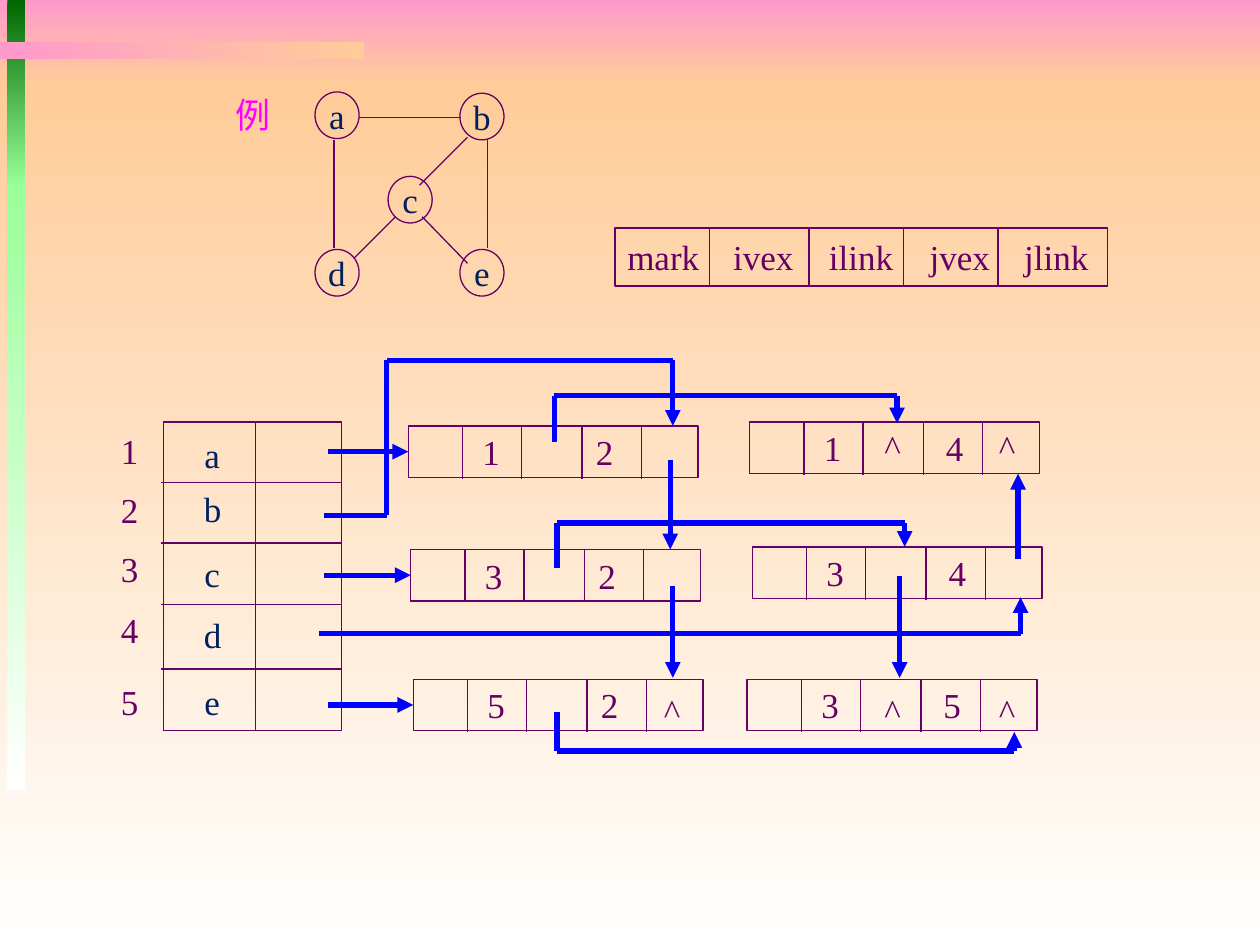
from dataclasses import dataclass
from itertools import pairwise

from lxml.etree import SubElement
from pptx import Presentation
from pptx.dml.color import RGBColor
from pptx.enum.shapes import MSO_CONNECTOR, MSO_SHAPE
from pptx.enum.text import MSO_ANCHOR, PP_ALIGN
from pptx.oxml.ns import qn
from pptx.util import Inches, Pt


@dataclass(frozen=True)
class Theme:
    """Colours, font and sizes of the slide."""
    font: str = "Times New Roman"
    size: int = 20
    thin: float = 0.75
    thick: float = 3
    plum: str = "660066"
    navy: str = "002060"
    blue: str = "0000FF"
    magenta: str = "FF00FF"
    pink: str = "FF99CC"
    peach: str = "FFCC99"
    dark_green: str = "006600"
    light_green: str = "99FF99"
    white: str = "FFFFFF"


THEME = Theme()


def rgb(value):
    """Turn a hex string into a colour."""
    return RGBColor.from_string(value)


def write(shape, text, color, align=PP_ALIGN.CENTER, anchor=MSO_ANCHOR.MIDDLE, tabs=()):
    """Write one line in a shape, with tab stops in inches if given."""
    frame = shape.text_frame
    frame.word_wrap = bool(tabs)
    frame.vertical_anchor = anchor
    para = frame.paragraphs[0]
    para.alignment = align
    if tabs:
        tab_list = SubElement(para._p.get_or_add_pPr(), qn("a:tabLst"))
        for stop in tabs:
            SubElement(tab_list, qn("a:tab"), pos=str(Inches(stop)), algn="l")
    span = para.add_run()
    span.text = text
    span.font.name = THEME.font
    span.font.size = Pt(THEME.size)
    span.font.color.rgb = rgb(color)


def add_label(page, box, text, color, **layout):
    """Add a free label."""
    write(page.shapes.add_textbox(*map(Inches, box)), text, color, **layout)


def add_outline(page, box, kind=MSO_SHAPE.RECTANGLE):
    """Add an unfilled shape with a thin outline."""
    shape = page.shapes.add_shape(kind, *map(Inches, box))
    shape.shadow.inherit = False
    shape.fill.background()
    shape.line.color.rgb = rgb(THEME.plum)
    shape.line.width = Pt(THEME.thin)
    return shape


def add_line(page, start, end, color=THEME.plum, width=THEME.thin, head=False):
    """Add a straight line, with an arrowhead at its end if asked."""
    line = page.shapes.add_connector(MSO_CONNECTOR.STRAIGHT, *map(Inches, (*start, *end)))
    line.line.color.rgb = rgb(color)
    line.line.width = Pt(width)
    if head:
        SubElement(line.line._get_or_add_ln(), qn("a:tailEnd"), type="triangle")
    SubElement(line._element.spPr, qn("a:effectLst"))
    return line


def add_link(page, points):
    """Draw a pointer along its corner points, with the arrowhead last."""
    for start, end in pairwise(points):
        line = add_line(page, start, end, THEME.blue, THEME.thick, end == points[-1])
    return line


def add_band(page, box, first, last, angle=270):
    """Add a borderless gradient band."""
    band = page.shapes.add_shape(MSO_SHAPE.RECTANGLE, *map(Inches, box))
    band.shadow.inherit = False
    band.line.fill.background()
    band.fill.gradient()
    band.fill.gradient_angle = angle
    for stop, color in zip(band.fill.gradient_stops, (first, last)):
        stop.color.rgb = rgb(color)


def add_backdrop(page, box):
    """Paint the backdrop and its decorative bars."""
    left, top, width, height = box
    add_band(page, (left, top, width, 0.67), THEME.pink, THEME.peach)
    add_band(page, (left, top + 0.67, width, height - 0.67), THEME.peach, THEME.white)
    add_band(page, (left + 0.06, top, 0.14, 1.48), THEME.dark_green, THEME.light_green)
    add_band(page, (left + 0.06, top + 1.46, 0.14, 4.81), THEME.light_green, THEME.white)
    add_band(page, (left, top + 0.33, 2.89, 0.14), THEME.pink, THEME.peach, 0)


def add_graph(page, box):
    """Draw the example graph."""
    left, top = box[:2]
    add_label(page, (left, top, 0.48, 0.43), "例", THEME.magenta)
    nodes = {"a": (0.73, 0.04), "b": (1.88, 0.05), "c": (1.31, 0.71),
             "d": (0.73, 1.29), "e": (1.88, 1.29)}
    for name, (x, y) in nodes.items():
        node = add_outline(page, (left + x, top + y, 0.35, 0.37), MSO_SHAPE.OVAL)
        write(node, name, THEME.navy)
    edges = [(1.08, 0.24, 1.89, 0.24), (0.88, 0.42, 0.88, 1.28),
             (2.10, 0.42, 2.10, 1.28), (1.58, 1.03, 1.94, 1.40),
             (1.94, 0.40, 1.56, 0.78), (1.37, 1.03, 1.04, 1.36)]
    for x1, y1, x2, y2 in edges:
        add_line(page, (left + x1, top + y1), (left + x2, top + y2))


def add_record(page, box, text, dividers, tabs):
    """Draw a divided record with tabbed text."""
    left, top, _, height = box
    record = add_outline(page, box)
    write(record, text, THEME.plum, align=PP_ALIGN.LEFT, tabs=tabs)
    for x in dividers:
        add_line(page, (left + x, top), (left + x, top + height + 0.01))
    return record


def add_vertex_list(page, box):
    """Draw the numbered vertex list."""
    left, top, width, height = box
    add_outline(page, box)
    add_line(page, (left + 0.73, top), (left + 0.73, top + height))
    for y in (0.48, 0.96, 1.45, 1.96):
        add_line(page, (left - 0.02, top + y), (left + width, top + y))
    number_tops = (0.01, 0.48, 0.95, 1.43, 2.0)
    name_tops = (0.04, 0.47, 0.99, 1.47, 2.0)
    for number, (name, y1, y2) in enumerate(zip("abcde", number_tops, name_tops), 1):
        add_label(page, (left - 0.44, top + y1, 0.34, 0.43), str(number), THEME.plum)
        add_label(page, (left + 0.22, top + y2, 0.33, 0.43), name, THEME.navy)


def add_multilist(page, box):
    """Draw the vertex list, the edge records and their pointers."""
    left, top = box[:2]
    add_vertex_list(page, (left, top + 0.49, 1.41, 2.45))
    near, far = (0.49, 1.39), (0.49, 1.46)
    edges = [(1.94, 0.52, "1", "2", near, 1.30), (4.65, 0.49, "1", "4", far, None),
             (1.96, 1.50, "3", "2", near, 1.27), (4.67, 1.48, "3", "4", far, None),
             (1.98, 2.53, "5", "2", near, 1.30), (4.63, 2.53, "3", "5", far, None)]
    for x, y, i, j, tabs, entry in edges:
        record = add_record(page, (left + x, top + y, 2.3, 0.41), f"\t{i}\t{j}",
                            (0.43, 0.9, 1.38, 1.85), tabs)
        if entry:
            middle = top + y + 0.205
            link = add_link(page, [(left + entry, middle), (left + x, middle)])
            link.end_connect(record, 1)
    links = [
        [(3.10, 0.65), (3.10, 0.28), (5.82, 0.28), (5.82, 0.50)],
        [(1.27, 1.23), (1.77, 1.23), (1.77, 0), (4.04, 0), (4.04, 0.52)],
        [(4.02, 0.79), (4.02, 1.50)],
        [(4.04, 1.79), (4.04, 2.52)],
        [(3.12, 1.65), (3.12, 1.29), (5.88, 1.29), (5.88, 1.48)],
        [(5.84, 1.71), (5.84, 2.52)],
        [(1.23, 2.17), (6.80, 2.17), (6.80, 1.88)],
        [(6.78, 1.58), (6.78, 0.90)],
        [(3.12, 2.79), (3.12, 3.10), (6.75, 3.10), (6.75, 2.95)],
    ]
    for points in links:
        add_link(page, [(left + x, top + y) for x, y in points])
    for x, y in [(5.62, 0.47), (6.53, 0.47), (5.62, 2.56), (6.53, 2.56), (3.87, 2.56)]:
        add_label(page, (left + x, top + y, 0.33, 0.43), "^", THEME.plum,
                  align=PP_ALIGN.LEFT, anchor=MSO_ANCHOR.TOP)


def main():
    """Build and save the slide."""
    deck = Presentation()
    deck.slide_width, deck.slide_height = Inches(10), Inches(7.5)
    page = deck.slides.add_slide(deck.slide_layouts[6])
    add_backdrop(page, (0, 0, 10, 7.5))
    add_graph(page, (1.77, 0.69, 2.23, 1.66))
    add_multilist(page, (1.3, 2.86, 6.97, 3.1))
    add_record(page, (4.88, 1.81, 3.91, 0.46), "mark\tivex\tilink\tjvex\tjlink",
               (0.75, 1.54, 2.29, 3.04), (0.84, 1.6, 2.4, 3.15))
    deck.save("out.pptx")


if __name__ == "__main__":
    main()
